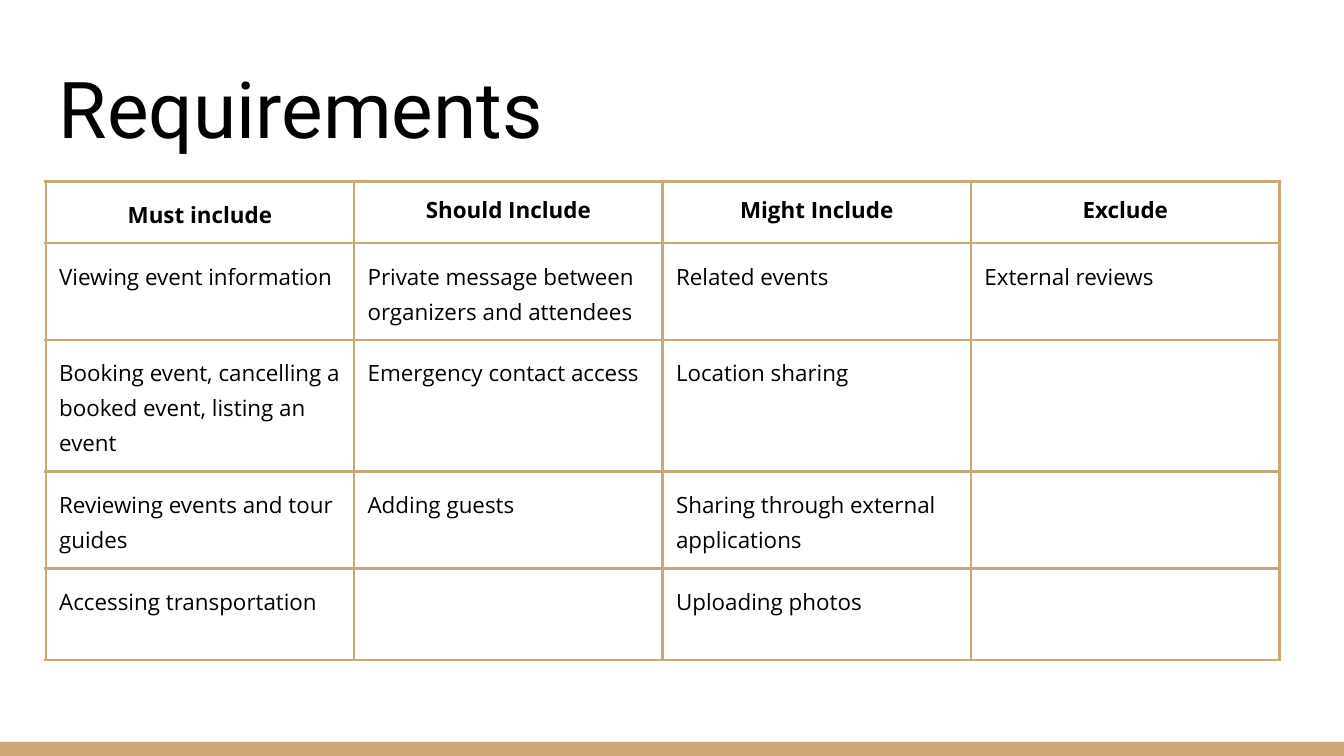
from pptx import Presentation
from pptx.dml.color import RGBColor
from pptx.enum.shapes import MSO_SHAPE
from pptx.enum.text import MSO_ANCHOR, PP_ALIGN
from pptx.oxml.ns import qn
from pptx.util import Inches, Pt
from lxml import etree

RECT = MSO_SHAPE.RECTANGLE
BOTTOM = MSO_ANCHOR.BOTTOM
LEFT, CENTER = PP_ALIGN.LEFT, PP_ALIGN.CENTER

WIDTH = 10
HEIGHT = WIDTH * 9 / 16
TAN, BLACK, WHITE = "CCA677", "000000", "FFFFFF"
HEADS = ["Must include", "Should Include", "Might Include", "Exclude"]
ITEMS = [
    ["Viewing event information",
     "Private message between organizers and attendees",
     "Related events", "External reviews"],
    ["Booking event, cancelling a booked event, listing an event",
     "Emergency contact access", "Location sharing", ""],
    ["Reviewing events and tour guides", "Adding guests",
     "Sharing through external applications", ""],
    ["Accessing transportation", "", "Uploading photos", ""],
]
HEIGHTS = [0.46, 0.72, 0.98, 0.72, 0.68]


def color(code):
    return RGBColor.from_string(code)


class Deck:
    head = "Roboto"
    body = "Open Sans"
    inset = Inches(0.1)

    def __init__(self, slide):
        self.slide = slide
        fill = slide.background.fill
        fill.solid()
        fill.fore_color.rgb = color(WHITE)

    def pad(self, part):
        part.margin_left = part.margin_right = self.inset
        part.margin_top = part.margin_bottom = self.inset

    def style(self, para, face, size, bold=False):
        for run in para.runs:
            run.font.name = face
            run.font.size = Pt(size)
            run.font.bold = bold
            run.font.color.rgb = color(BLACK)

    def bar(self, x, y, w, h):
        shape = self.slide.shapes.add_shape(
            RECT, Inches(x), Inches(y), Inches(w), Inches(h))
        shape.shadow.inherit = False
        shape.fill.solid()
        shape.fill.fore_color.rgb = color(TAN)
        shape.line.fill.background()

    def title(self, text, x, y, w, h):
        box = self.slide.shapes.add_textbox(
            Inches(x), Inches(y), Inches(w), Inches(h))
        frame = box.text_frame
        frame.word_wrap = True
        frame.vertical_anchor = BOTTOM
        self.pad(frame)
        frame.text = text
        self.style(frame.paragraphs[0], self.head, 42)

    def border(self, cell):
        props = cell._tc.get_or_add_tcPr()
        for i, side in enumerate(("a:lnL", "a:lnR", "a:lnT", "a:lnB")):
            line = etree.Element(qn(side), w=str(Pt(1.5)))
            fill = etree.SubElement(line, qn("a:solidFill"))
            etree.SubElement(fill, qn("a:srgbClr"), val=TAN)
            props.insert(i, line)

    def cell(self, cell, text, head, loose):
        self.pad(cell)
        cell.fill.background()
        self.border(cell)
        cell.text_frame.text = text
        para = cell.text_frame.paragraphs[0]
        para.alignment = CENTER if head else LEFT
        if loose:
            para.line_spacing = 1.15
        self.style(para, self.body, 12, head)

    def table(self, rows, x, y, width, heights):
        count = len(rows[0])
        frame = self.slide.shapes.add_table(
            len(rows), count, Inches(x), Inches(y),
            Inches(width), Inches(sum(heights)))
        grid = frame.table
        for col in grid.columns:
            col.width = Inches(width / count)
        for r, (row, height) in enumerate(zip(rows, heights)):
            grid.rows[r].height = Inches(height)
            for c, text in enumerate(row):
                self.cell(grid.cell(r, c), text, r == 0, r > 0 or c == 0)


def main():
    prs = Presentation()
    prs.slide_width, prs.slide_height = Inches(WIDTH), Inches(HEIGHT)
    deck = Deck(prs.slides.add_slide(prs.slide_layouts[6]))
    deck.bar(0, 5.52, WIDTH, HEIGHT - 5.52)
    deck.title("Requirements", 0.34, 0.35, 9.32, 0.9)
    deck.table([HEADS] + ITEMS, 0.34, 1.35, 9.18, HEIGHTS)
    prs.save("out.pptx")


if __name__ == "__main__":
    main()
